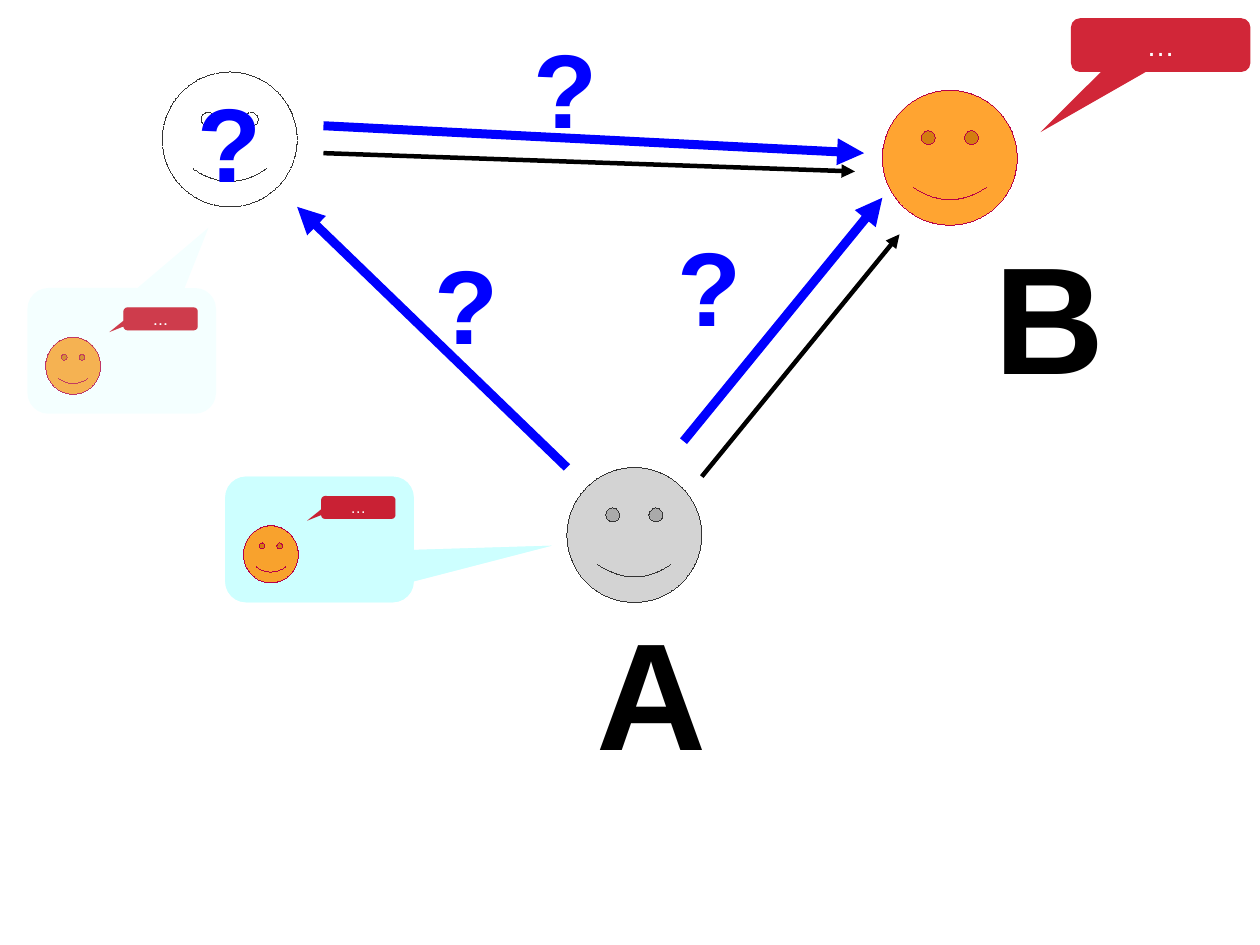
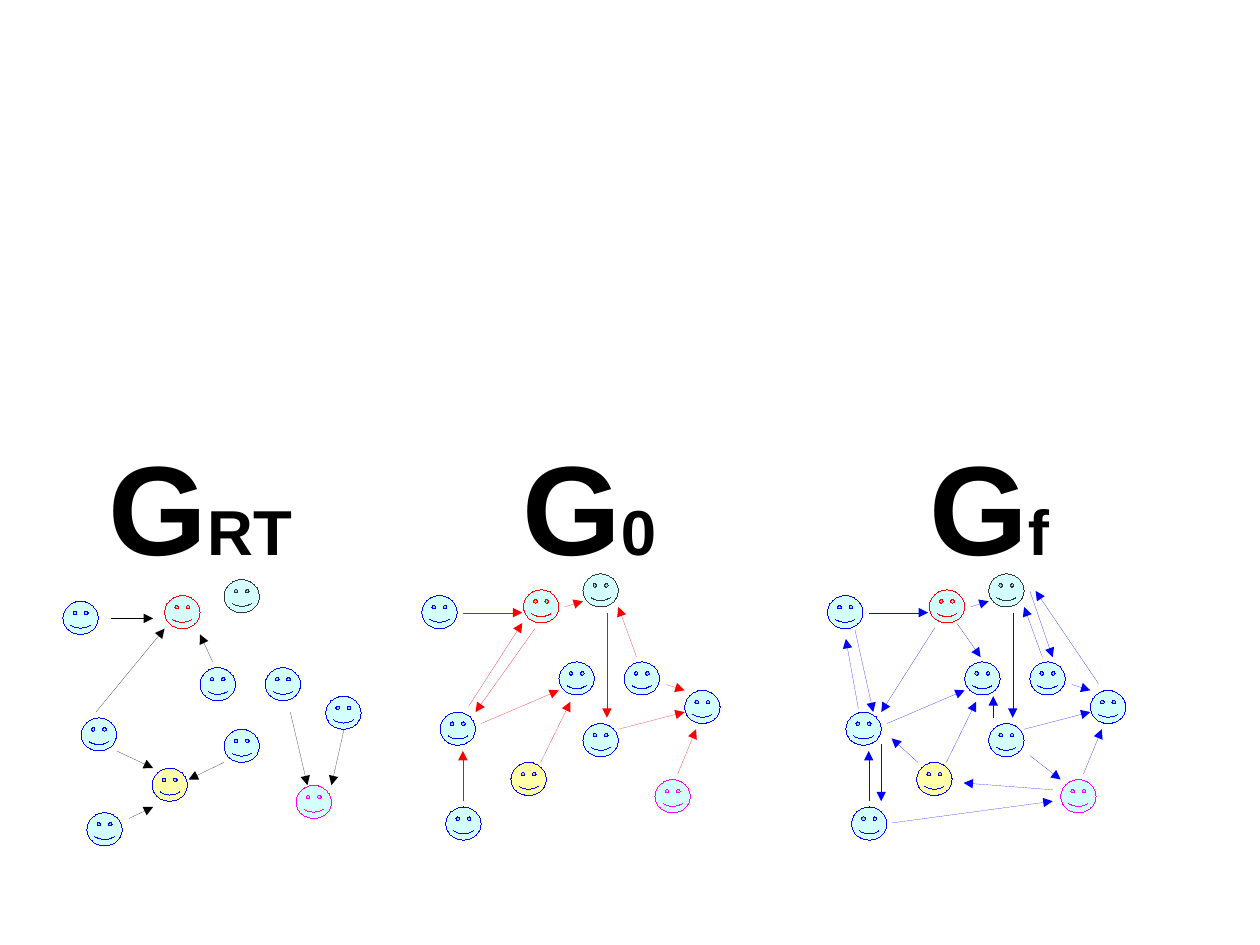
from lxml.etree import SubElement
from pptx import Presentation
from pptx.dml.color import RGBColor
from pptx.enum.dml import MSO_LINE
from pptx.enum.shapes import MSO_CONNECTOR, MSO_SHAPE
from pptx.enum.text import MSO_ANCHOR, MSO_AUTO_SIZE, PP_ALIGN
from pptx.oxml.ns import qn
from pptx.util import Cm, Pt

SCALE = 9144
FONT = "Arial"
BLACK = RGBColor(0x00, 0x00, 0x00)
WHITE = RGBColor(0xFF, 0xFF, 0xFF)
BLUE = RGBColor(0x00, 0x00, 0xFF)
RED = RGBColor(0xFF, 0x00, 0x00)
PINK = RGBColor(0xFF, 0x00, 0xFF)
DARK = RGBColor(0x33, 0x33, 0x33)
GREY = RGBColor(0xCC, 0xCC, 0xCC)
ORANGE = RGBColor(0xFF, 0x95, 0x0E)
PLUM = RGBColor(0xB8, 0x00, 0x47)
CRIMSON = RGBColor(0xC9, 0x00, 0x16)
CYAN = RGBColor(0xCC, 0xFF, 0xFF)
YELLOW = RGBColor(0xFF, 0xFF, 0x99)

NODES = [
    (0, 19, CYAN, BLUE), (89, 14, CYAN, RED), (120, 77, CYAN, BLUE),
    (16, 121, CYAN, BLUE), (141, 131, CYAN, BLUE), (177, 77, CYAN, BLUE),
    (141, 0, CYAN, DARK), (230, 102, CYAN, BLUE), (21, 204, CYAN, BLUE),
    (78, 165, YELLOW, BLUE), (204, 180, CYAN, PINK),
]
TRUE_LINKS = [
    (58, 209, 79, 199), (47, 150, 79, 165), (246, 131, 235, 180),
    (42, 34, 79, 34), (131, 72, 120, 48), (141, 160, 110, 175),
    (199, 116, 214, 180), (29, 116, 89, 43),
]
BASE_LINKS = [
    (125, 29, 141, 24), (104, 165, 130, 112), (172, 136, 230, 121),
    (36, 34, 88, 34), (36, 199, 36, 155), (52, 131, 120, 102),
    (162, 34, 162, 126), (214, 97, 230, 102), (188, 73, 172, 29),
    (224, 175, 240, 136),
]
FIRST_LINKS = [(41, 116, 88, 43), (99, 48, 47, 121)]
FINAL_LINKS = [
    (113, 43, 134, 73), (27, 118, 16, 57), (24, 49, 40, 121),
    (145, 126, 145, 107), (177, 15, 197, 73), (197, 189, 119, 183),
    (47, 149, 47, 199), (94, 47, 47, 121), (79, 165, 56, 144),
    (177, 159, 204, 180), (56, 218, 197, 199), (237, 96, 182, 15),
]


def px(*sizes):
    return [size * SCALE for size in sizes]


def stroke(line, color, width=0):
    line.color.rgb = color
    outline = line._get_or_add_ln()
    outline.set("w", str(Pt(width)))
    return outline


def paint(shape, fill, alpha, edge=None):
    shape.shadow.inherit = False
    if fill is None:
        shape.fill.background()
    else:
        shape.fill.solid()
        shape.fill.fore_color.rgb = fill
        tint = shape.fill._xPr.find(qn("a:solidFill"))[0]
        SubElement(tint, qn("a:alpha"), val=str(alpha * 1000))
    if edge is None:
        shape.line.fill.background()
    else:
        stroke(shape.line, edge)


def style(run, size, color, bold):
    font = run.font
    font.name, font.size, font.bold = FONT, Pt(size), bold
    font.color.rgb = color


def face(slide, box, fill, edge, alpha=85):
    shape = slide.shapes.add_shape(MSO_SHAPE.SMILEY_FACE, *px(*box))
    paint(shape, fill, alpha, edge)
    return shape


def bubble(slide, box, tip, fill, alpha=85, size=None):
    shape = slide.shapes.add_shape(
        MSO_SHAPE.ROUNDED_RECTANGULAR_CALLOUT, *px(*box))
    shape.adjustments[0], shape.adjustments[1] = tip
    paint(shape, fill, alpha)
    if size:
        frame = shape.text_frame
        frame.text = "…"
        frame.word_wrap = False
        frame.vertical_anchor = MSO_ANCHOR.MIDDLE
        line = frame.paragraphs[0]
        line.alignment = PP_ALIGN.CENTER
        style(line.runs[0], size, WHITE, False)


def arrow(slide, ends, color, width=0):
    link = slide.shapes.add_connector(MSO_CONNECTOR.STRAIGHT, *px(*ends))
    outline = stroke(link.line, color, width)
    SubElement(outline, qn("a:tailEnd"), type="triangle")
    SubElement(link._element.spPr, qn("a:effectLst"))


def label(slide, box, parts, color=BLACK, wrap=True):
    frame = slide.shapes.add_textbox(*px(*box)).text_frame
    frame.word_wrap = wrap
    frame.auto_size = MSO_AUTO_SIZE.SHAPE_TO_FIT_TEXT
    for text, size in parts:
        run = frame.paragraphs[0].add_run()
        run.text = text
        style(run, size, color, True)


def speaker(slide, x, y, edge=PLUM, skin=85, speech=85):
    face(slide, (x + 16, y + 43, 48, 50), ORANGE, edge, skin)
    bubble(slide, (x + 84, y + 17, 65, 20), (-0.69, 0.58),
           CRIMSON, speech, 10)


def cloud(slide, x, y, tip, alpha=85):
    bubble(slide, (x, y, 165, 110), tip, CYAN, alpha)


def trust(slide):
    ghost = face(slide, (142, 63, 118, 118), None, DARK)
    ghost.line.dash_style = MSO_LINE.SQUARE_DOT
    face(slide, (772, 79, 118, 118), ORANGE, PLUM)
    bubble(slide, (937, 16, 157, 47), (-0.67, 1.62), CRIMSON, 85, 18)
    face(slide, (496, 409, 118, 118), GREY, DARK)
    for _ in range(2):
        cloud(slide, 197, 417, (1.23, 0.05))
        speaker(slide, 197, 417)
    speaker(slide, 24, 252)
    cloud(slide, 24, 252, (0.46, -0.98), 20)
    speaker(slide, 24, 252, None, 10, 25)
    for ends in [(614, 417, 787, 205), (283, 134, 748, 150)]:
        arrow(slide, ends, BLACK, 2.83)
    for ends in [(598, 386, 772, 173), (496, 409, 260, 181),
                 (283, 110, 756, 134)]:
        arrow(slide, ends, BLUE, 5.67)
    for x, y in [(583, 189), (163, 63), (457, 16), (370, 205)]:
        label(slide, (x, y, 79, 112), [("?", 66)], BLUE)
    for text, x, y in [("A", 512, 518), ("B", 860, 189)]:
        label(slide, (x, y, 116, 159), [(text, 96)], wrap=False)


def graph(slide, x, y, sub, title, links, color):
    for dx, dy, fill, edge in NODES:
        face(slide, (x + dx, y + dy, 31, 29), fill, edge)
    for x1, y1, x2, y2 in links:
        arrow(slide, (x + x1, y + y1, x + x2, y + y2), color)
    dx, dy, width = title
    label(slide, (x + dx, y + dy, width, 134), [("G", 80), (sub, 40)])


def graphs(slide):
    graph(slide, 55, 507, "RT", (30, -137, 199), TRUE_LINKS, BLACK)
    graph(slide, 369, 502, "0", (78, -132, 159),
          BASE_LINKS + FIRST_LINKS, RED)
    graph(slide, 724, 502, "f", (79, -132, 159),
          BASE_LINKS + FINAL_LINKS, BLUE)


def main():
    deck = Presentation()
    deck.slide_width, deck.slide_height = Cm(28), Cm(21)
    for build in (trust, graphs):
        build(deck.slides.add_slide(deck.slide_layouts[6]))
    deck.save("out.pptx")


if __name__ == "__main__":
    main()
